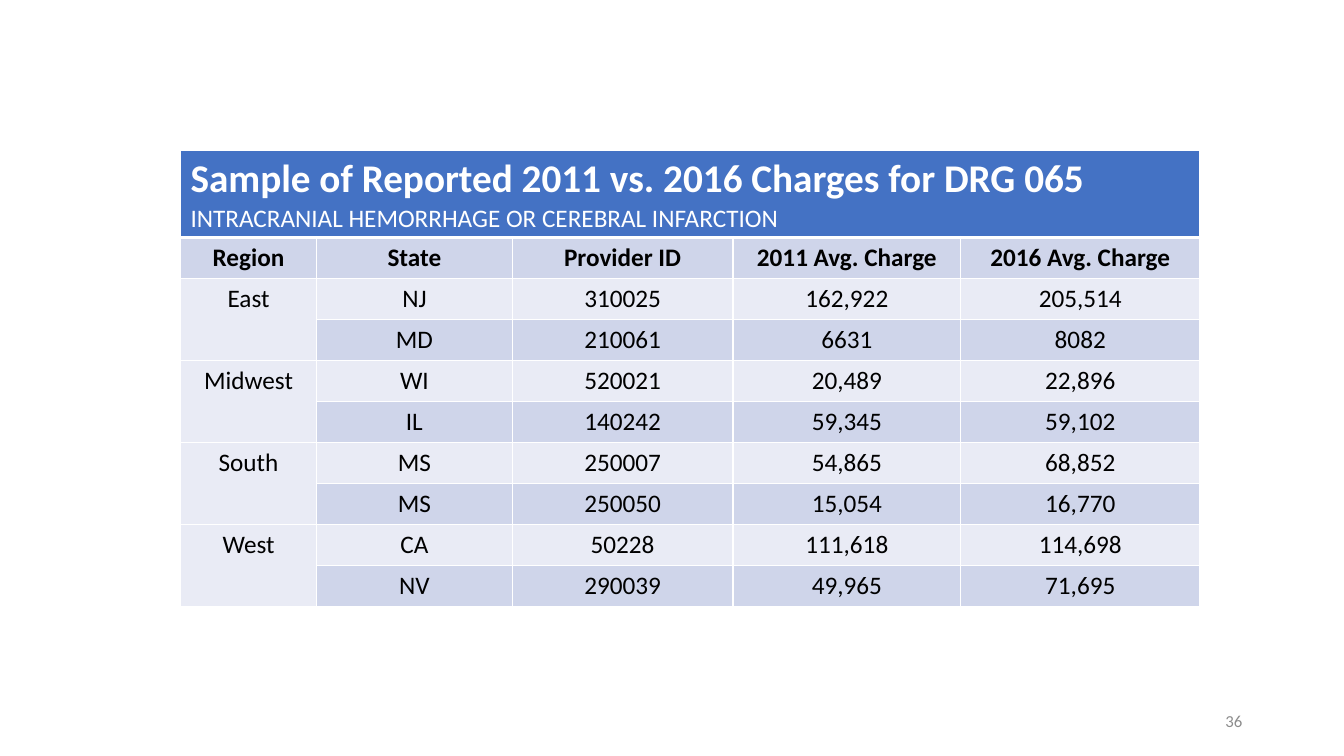
import dataclasses

import pptx
import pptx.dml.color
import pptx.enum.text
import pptx.oxml
import pptx.oxml.ns
import pptx.util

Inches = pptx.util.Inches
ALIGN = pptx.enum.text.PP_ALIGN
ANCHOR = pptx.enum.text.MSO_ANCHOR


@dataclasses.dataclass(frozen=True)
class Theme:
    font: str = "Calibri"
    white: str = "FFFFFF"
    black: str = "000000"
    gray: str = "8C8C8C"
    banner: str = "4472C4"
    dark_band: str = "CFD5EA"
    light_band: str = "E9EBF5"
    title_size: int = 28
    body_size: int = 18
    number_size: int = 12
    thin_line: int = 1
    thick_line: int = 3


HEADINGS = ["Region", "State", "Provider ID", "2011 Avg. Charge", "2016 Avg. Charge"]
CHARGES = [
    ["East", "NJ", "310025", "162,922", "205,514"],
    ["", "MD", "210061", "6631", "8082"],
    ["Midwest", "WI", "520021", "20,489", "22,896"],
    ["", "IL", "140242", "59,345", "59,102"],
    ["South", "MS", "250007", "54,865", "68,852"],
    ["", "MS", "250050", "15,054", "16,770"],
    ["West", "CA", "50228", "111,618", "114,698"],
    ["", "NV", "290039", "49,965", "71,695"],
]
COLUMN_WIDTHS = [1.35, 1.94, 2.19, 2.26, 2.37]
BANNER_HEIGHT = 0.86
TABLE_HEIGHT = 4.52


class SlideBuilder:
    """Draws styled elements on the current slide."""

    def __init__(self, slide, theme):
        self.slide = slide
        self.theme = theme

    def add_run(self, paragraph, text, size, color, bold=False):
        run = paragraph.add_run()
        run.text = text
        formats = {"name": self.theme.font, "size": pptx.util.Pt(size), "bold": bold}
        for name, value in formats.items():
            setattr(run.font, name, value)
        run.font.color.rgb = pptx.dml.color.RGBColor.from_string(color)

    def add_text(self, left, top, width, height, text, size, color, align):
        box = self.slide.shapes.add_textbox(*map(Inches, (left, top, width, height)))
        formats = {"word_wrap": True, "vertical_anchor": ANCHOR.MIDDLE}
        for name, value in formats.items():
            setattr(box.text_frame, name, value)
        paragraph = box.text_frame.paragraphs[0]
        paragraph.alignment = align
        self.add_run(paragraph, text, size, color)

    def add_table(self, left, top, widths, heights):
        shape = self.slide.shapes.add_table(
            len(heights), len(widths), Inches(left), Inches(top),
            Inches(sum(widths)), Inches(sum(heights)))
        table = shape.table
        for name, value in {"first_row": False, "horz_banding": False}.items():
            setattr(table, name, value)
        for column, width in zip(table.columns, widths):
            column.width = Inches(width)
        for row, height in zip(table.rows, heights):
            row.height = Inches(height)
        return table

    def style_cell(self, cell, fill, top, bottom):
        properties = cell._tc.get_or_add_tcPr()
        thin = self.theme.thin_line
        for side, width in {"L": thin, "R": thin, "T": top, "B": bottom}.items():
            properties.append(pptx.oxml.parse_xml(
                f'<a:ln{side} {pptx.oxml.ns.nsdecls("a")} w="{pptx.util.Pt(width)}">'
                f'<a:solidFill><a:srgbClr val="{self.theme.white}"/></a:solidFill>'
                f'</a:ln{side}>'))
        cell.fill.solid()
        cell.fill.fore_color.rgb = pptx.dml.color.RGBColor.from_string(fill)

    def add_charge_table(self, left, top):
        theme = self.theme
        rows = [HEADINGS] + CHARGES
        row_height = (TABLE_HEIGHT - BANNER_HEIGHT) / len(rows)
        table = self.add_table(
            left, top, COLUMN_WIDTHS, [BANNER_HEIGHT] + [row_height] * len(rows))

        for column in range(len(HEADINGS)):
            self.style_cell(
                table.cell(0, column), theme.banner, theme.thin_line, theme.thick_line)
        table.cell(0, 0).merge(table.cell(0, len(HEADINGS) - 1))
        paragraph = table.cell(0, 0).text_frame.paragraphs[0]
        self.add_run(paragraph, "Sample of Reported 2011 vs. 2016 Charges for DRG 065",
                     theme.title_size, theme.white, bold=True)
        paragraph.add_line_break()
        self.add_run(paragraph, "INTRACRANIAL HEMORRHAGE OR CEREBRAL INFARCTION",
                     theme.body_size, theme.white)

        for row_index, values in enumerate(rows, start=1):
            is_heading = row_index == 1
            fill = theme.dark_band if row_index % 2 else theme.light_band
            top_line = theme.thick_line if is_heading else theme.thin_line
            for column, value in enumerate(values):
                cell = table.cell(row_index, column)
                self.style_cell(cell, fill, top_line, theme.thin_line)
                if value:
                    paragraph = cell.text_frame.paragraphs[0]
                    paragraph.alignment = ALIGN.CENTER
                    self.add_run(
                        paragraph, value, theme.body_size, theme.black, is_heading)

        for row_index in range(2, len(rows) + 1, 2):
            table.cell(row_index, 0).merge(table.cell(row_index + 1, 0))


def main():
    presentation = pptx.Presentation()
    presentation.slide_width = Inches(13.33)
    presentation.slide_height = Inches(7.5)
    blank_layout = presentation.slide_layouts.get_by_name("Blank")
    theme = Theme()
    builder = SlideBuilder(presentation.slides.add_slide(blank_layout), theme)
    builder.add_text(
        9.42, 6.95, 3, 0.4, "36", theme.number_size, theme.gray, ALIGN.RIGHT)
    builder.add_charge_table(1.79, 1.49)
    presentation.save("out.pptx")


if __name__ == "__main__":
    main()
